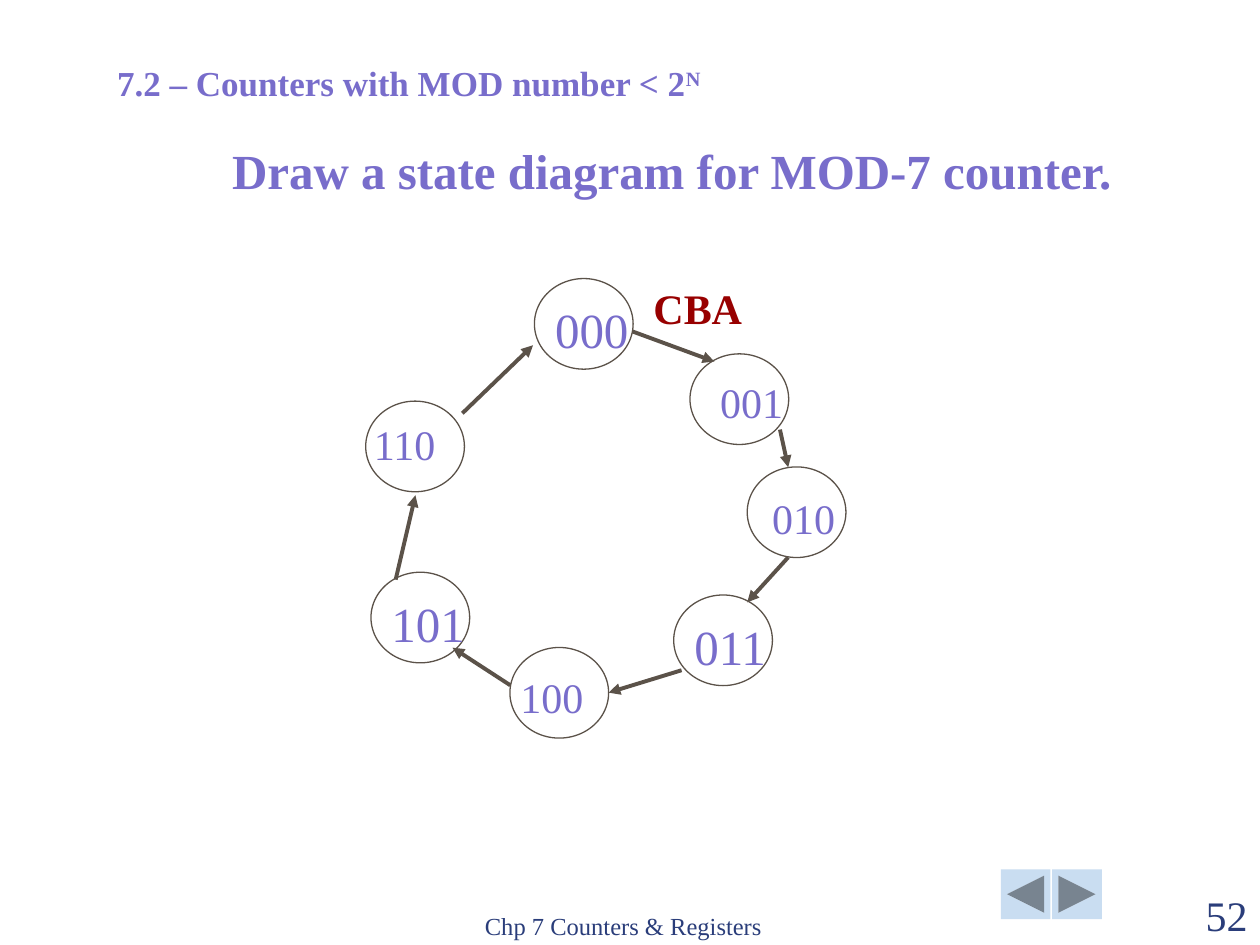
from pptx import Presentation
from pptx.dml.color import RGBColor
from pptx.enum.shapes import MSO_CONNECTOR, MSO_SHAPE
from pptx.enum.text import MSO_ANCHOR, PP_ALIGN
from pptx.oxml.ns import qn
from pptx.util import Pt
from lxml.etree import SubElement

FONT = "Times New Roman"
VIOLET, NAVY, RED, BROWN, PALE = "786DCB", "2A3D7A", "980000", "5B5249", "C9DDF1"
STATE_W, STATE_H = 56.4, 51.8
INSET = 7.2

# text, circle left and top, label left and top, label size
STATES = [
    ("000", 305.4, 159.2, 310.1, 167.8, 28),
    ("001", 394.3, 202.2, 404.4, 211.7, 24),
    ("010", 427, 266.8, 434.2, 277.7, 24),
    ("011", 385, 340, 389.7, 348.7, 28),
    ("100", 291.4, 370, 290.3, 380, 24),
    ("101", 212, 327, 216.6, 335.6, 28),
    ("110", 209, 229.2, 206.6, 235.4, 24),
]
# start x, y and end x, y of each transition, from 000 around to 000
ARROWS = [
    (361.4, 189.4, 408.2, 206.6),
    (445.7, 245.5, 450.4, 267),
    (450.4, 318.5, 427, 344.2),
    (389.5, 383, 347.8, 395.8),
    (291.6, 391.6, 258.6, 370.1),
    (226.1, 331.2, 237.4, 283),
    (264.2, 236.2, 304.6, 197.3),
]
BUTTONS = [
    (MSO_SHAPE.ACTION_BUTTON_BACK_OR_PREVIOUS, 571.9),
    (MSO_SHAPE.ACTION_BUTTON_FORWARD_OR_NEXT, 601.2),
]


def color(value):
    return RGBColor.from_string(value)


def add_text(page, text, left, top, width, height, size, ink=VIOLET, bold=False,
             align=PP_ALIGN.LEFT, anchor=MSO_ANCHOR.TOP, wrap=True):
    box = page.shapes.add_textbox(Pt(left), Pt(top), Pt(width), Pt(height))
    frame = box.text_frame
    frame.word_wrap = wrap
    frame.vertical_anchor = anchor
    para = frame.paragraphs[0]
    para.alignment = align
    font = para.font
    font.name, font.size, font.bold = FONT, Pt(size), bold
    font.color.rgb = color(ink)
    para.add_run().text = text
    return para


def add_label(page, text, left, top, size, width, **style):
    """Add one unwrapped line whose box fits the text."""
    add_text(page, text, left, top, width + 2 * INSET, size * 1.2 + INSET, size,
             wrap=False, **style)


def add_arrow(page, x1, y1, x2, y2):
    arrow = page.shapes.add_connector(MSO_CONNECTOR.STRAIGHT, Pt(x1), Pt(y1), Pt(x2), Pt(y2))
    arrow.line.color.rgb = color(BROWN)
    arrow.line.width = Pt(2.25)
    SubElement(arrow.line._get_or_add_ln(), qn("a:tailEnd"), type="triangle")
    SubElement(arrow._element.spPr, qn("a:effectLst"))


deck = Presentation()
deck.slide_width, deck.slide_height = Pt(720), Pt(540)
page = deck.slides.add_slide(deck.slide_layouts[6])

for kind, left in BUTTONS:
    button = page.shapes.add_shape(kind, Pt(left), Pt(496.8), Pt(28.4), Pt(28.4))
    button.shadow.inherit = False
    button.fill.solid()
    button.fill.fore_color.rgb = color(PALE)
    button.line.fill.background()

add_text(page, "Chp 7 Counters & Registers", 270, 504.7, 228, 36, 14, NAVY,
         anchor=MSO_ANCHOR.BOTTOM)
add_text(page, "52", 648, 504.7, 72, 36, 24, NAVY, align=PP_ALIGN.RIGHT,
         anchor=MSO_ANCHOR.BOTTOM)
add_text(page, "Draw a state diagram for MOD-7 counter.", 77.8, 80.6, 612, 36.7, 28,
         bold=True, align=PP_ALIGN.CENTER, anchor=MSO_ANCHOR.BOTTOM)
heading = add_text(page, "7.2 – Counters with MOD number < 2", 59.8, 31.7, 402.5, 31, 20,
                   bold=True)
power = heading.add_run()
power.text = "N"
power.font._element.set("baseline", "30000")

for text, left, top, label_left, label_top, size in STATES:
    circle = page.shapes.add_shape(MSO_SHAPE.OVAL, Pt(left), Pt(top), Pt(STATE_W), Pt(STATE_H))
    circle.shadow.inherit = False
    circle.fill.background()
    circle.line.color.rgb = color(BROWN)
    circle.line.width = Pt(0.75)
    add_label(page, text, label_left, label_top, size, width=size * 1.5)

for ends in ARROWS:
    add_arrow(page, *ends)
add_label(page, "CBA", 366.3, 157.7, 24, width=51, ink=RED, bold=True)

deck.save("out.pptx")
